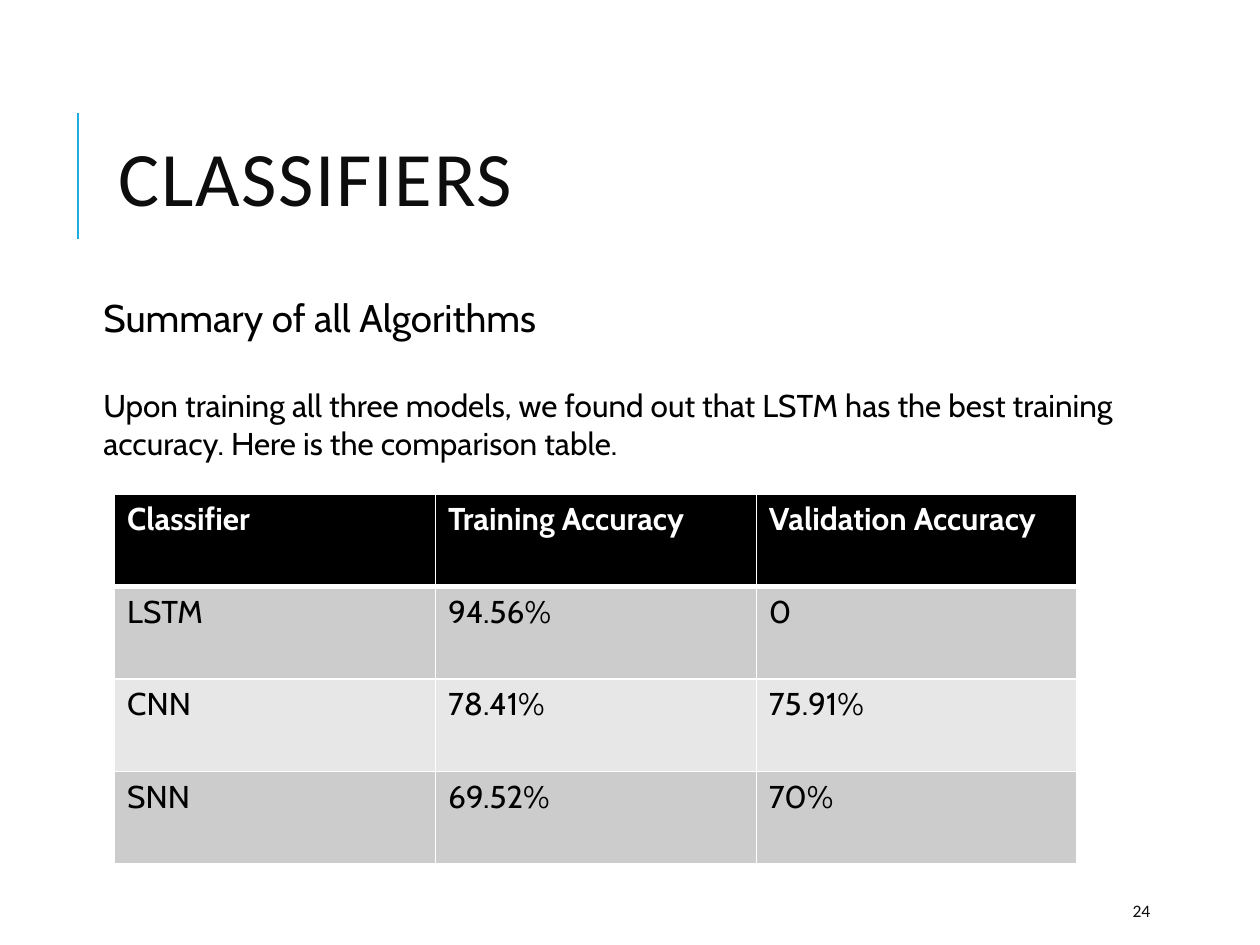
import pptx
import pptx.dml.color
import pptx.enum.shapes
import pptx.enum.text
import pptx.oxml.ns
import pptx.util
from lxml import etree

RGBColor = pptx.dml.color.RGBColor
BLACK = RGBColor(0x00, 0x00, 0x00)
WHITE = RGBColor(0xFF, 0xFF, 0xFF)
INK = RGBColor(0x0D, 0x0D, 0x0D)
ACCENT = RGBColor(0x1C, 0xAD, 0xE4)
ROW_FILLS = (RGBColor(0xCC, 0xCC, 0xCC), RGBColor(0xE7, 0xE7, 0xE7))

SLIDE_SIZE = (10, 7.5)
TITLE_AREA = (0.84, 0.64, 7.97, 1.64)
BODY_AREA = (0.72, 2.28, 8.57, 1.6)
TABLE_AREA = (0.91, 3.92, 7.64, 2.94)
NUMBER_AREA = (8.89, 7.08, 0.8, 0.3)

SUMMARY = (
    ("Summary of all Algorithms", 22, 0),
    ("Upon training all three models, we found out that LSTM has the best "
     "training accuracy. Here is the comparison table.", 18, 26.5),
)
ACCURACIES = (
    ("Classifier", "Training Accuracy", "Validation Accuracy"),
    ("LSTM", "94.56%", "0"),
    ("CNN", "78.41%", "75.91%"),
    ("SNN", "69.52%", "70%"),
)


def inches(lengths):
    return [pptx.util.Inches(length) for length in lengths]


def place(shape, area):
    shape.left, shape.top, shape.width, shape.height = inches(area)


def style_paragraph(para, font_name, size, color, bold=False):
    para.alignment = pptx.enum.text.PP_ALIGN.LEFT
    for span in para.runs:
        span.font.name = font_name
        span.font.size = pptx.util.Pt(size)
        span.font.color.rgb = color
        span.font.bold = bold


def add_accent_line(page):
    x, top, bottom = inches((0.62, 0.9, 1.9))
    line = page.shapes.add_connector(
        pptx.enum.shapes.MSO_CONNECTOR.STRAIGHT, x, bottom, x, top)
    line.line.color.rgb = ACCENT
    line.line.width = pptx.util.Pt(1.5)
    etree.SubElement(line.element.spPr, pptx.oxml.ns.qn("a:effectLst"))


def fill_title(title, text):
    place(title, TITLE_AREA)
    frame = title.text_frame
    frame.text = text
    frame.vertical_anchor = pptx.enum.text.MSO_ANCHOR.MIDDLE
    para = frame.paragraphs[0]
    para.line_spacing = 0.8
    style_paragraph(para, "Calibri", 44, INK)
    para.runs[0].font._element.set("spc", "100")


def fill_body(body):
    place(body, BODY_AREA)
    frame = body.text_frame
    frame.auto_size = pptx.enum.text.MSO_AUTO_SIZE.NONE
    frame.text = "\n".join(text for text, _, _ in SUMMARY)
    for para, (_, size, gap) in zip(frame.paragraphs, SUMMARY):
        para.space_before = pptx.util.Pt(gap)
        style_paragraph(para, "Cabin", size, BLACK)
        properties = para._p.get_or_add_pPr()
        properties.set("marL", "0")
        properties.set("indent", "0")
        etree.SubElement(properties, pptx.oxml.ns.qn("a:buNone"))


def set_borders(cell, bottom_width):
    """Draw white cell borders, 1 pt except for the bottom one."""
    properties = cell._tc.get_or_add_tcPr()
    widths = {"lnL": 1, "lnR": 1, "lnT": 1, "lnB": bottom_width}
    for side, width in widths.items():
        border = etree.SubElement(properties, pptx.oxml.ns.qn(f"a:{side}"),
                                  w=str(pptx.util.Pt(width)))
        fill = etree.SubElement(border, pptx.oxml.ns.qn("a:solidFill"))
        etree.SubElement(fill, pptx.oxml.ns.qn("a:srgbClr"), val=str(WHITE))


def add_accuracy_table(page):
    table = page.shapes.add_table(
        len(ACCURACIES), len(ACCURACIES[0]), *inches(TABLE_AREA)).table
    for row, values in enumerate(ACCURACIES):
        header = row == 0
        for column, value in enumerate(values):
            cell = table.cell(row, column)
            cell.text = value
            style_paragraph(cell.text_frame.paragraphs[0], "Cabin", 18,
                            WHITE if header else BLACK, bold=header)
            # The header's bottom edge and the next row's top edge coincide.
            set_borders(cell, 3 if header else 1)
            if row == 1:
                top = cell._tc.tcPr.find(pptx.oxml.ns.qn("a:lnT"))
                top.set("w", str(pptx.util.Pt(3)))
            cell.fill.solid()
            cell.fill.fore_color.rgb = (
                BLACK if header else ROW_FILLS[(row - 1) % 2])


def add_page_number(page, number):
    box = page.shapes.add_textbox(*inches(NUMBER_AREA))
    frame = box.text_frame
    frame.word_wrap = True
    frame.vertical_anchor = pptx.enum.text.MSO_ANCHOR.MIDDLE
    frame.text = number
    style_paragraph(frame.paragraphs[0], "Calibri", 10, INK)


def main():
    deck = pptx.Presentation()
    deck.slide_width, deck.slide_height = inches(SLIDE_SIZE)
    page = deck.slides.add_slide(deck.slide_layouts[1])
    page.background.fill.solid()
    page.background.fill.fore_color.rgb = WHITE
    add_accent_line(page)
    fill_title(page.shapes.title, "CLASSIFIERS")
    fill_body(page.placeholders[1])
    add_accuracy_table(page)
    add_page_number(page, "24")
    deck.save("out.pptx")


if __name__ == "__main__":
    main()
